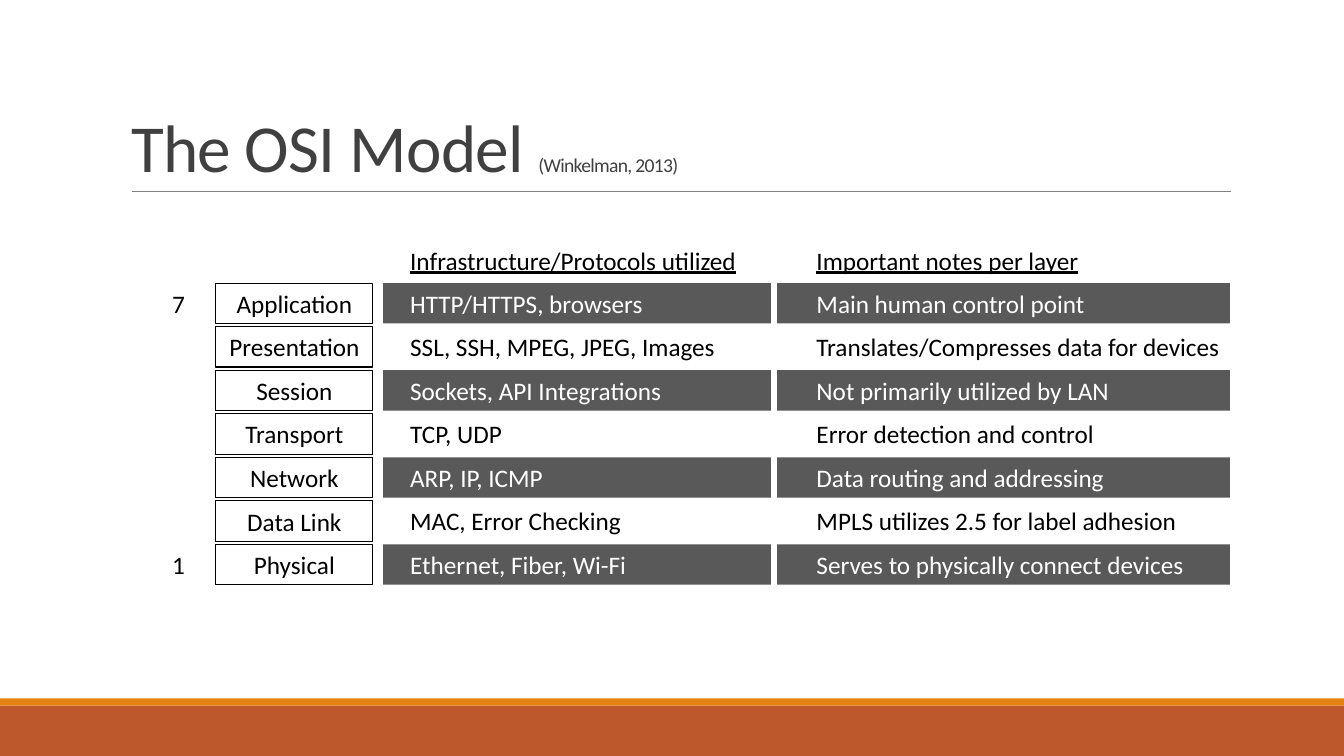
from pptx import Presentation
from pptx import util as u
from pptx.dml.color import RGBColor
from pptx.enum import shapes, text
from pptx.oxml.ns import qn
from lxml import etree

BLACK = RGBColor(0x00, 0x00, 0x00)
WHITE = RGBColor(0xFF, 0xFF, 0xFF)
TITLE_GRAY = RGBColor(0x40, 0x40, 0x40)
RULE_GRAY = RGBColor(0x80, 0x80, 0x80)
BAND_GRAY = RGBColor(0x59, 0x59, 0x59)
RUST = RGBColor(0xBD, 0x58, 0x2C)
ORANGE = RGBColor(0xE4, 0x83, 0x12)

ROW_TOP, ROW_STEP, ROW_HEIGHT = 2.81, 2.59 / 6, 0.4
PROTOCOL_LEFT, NOTE_LEFT = 3.97, 8.0
LAYERS = [
    ("Application", "HTTP/HTTPS, browsers", "Main human control point"),
    ("Presentation", "SSL, SSH, MPEG, JPEG, Images", "Translates/Compresses data for devices"),
    ("Session", "Sockets, API Integrations", "Not primarily utilized by LAN"),
    ("Transport", "TCP, UDP", "Error detection and control"),
    ("Network", "ARP, IP, ICMP", "Data routing and addressing"),
    ("Data Link", "MAC, Error Checking", "MPLS utilizes 2.5 for label adhesion"),
    ("Physical", "Ethernet, Fiber, Wi-Fi", "Serves to physically connect devices"),
]


class SlideBuilder:
    font_name = "Calibri"
    body_size = 18

    def __init__(self, slide):
        self.slide = slide

    def format_run(self, run, color, size=body_size, underline=None):
        run.font.name = self.font_name
        run.font.size = u.Pt(size)
        run.font.color.rgb = color
        run.font.underline = underline

    def title(self, parts):
        title = self.slide.shapes.title
        title.left, title.top = u.Inches(1.2), u.Inches(0.31)
        title.width, title.height = u.Inches(11), u.Inches(1.59)
        frame = title.text_frame
        frame.auto_size = text.MSO_AUTO_SIZE.NONE
        frame.vertical_anchor = text.MSO_ANCHOR.BOTTOM
        paragraph = frame.paragraphs[0]
        paragraph.alignment = text.PP_ALIGN.LEFT
        paragraph.line_spacing = 0.85
        for words, size in parts:
            run = paragraph.add_run()
            run.text = words
            self.format_run(run, TITLE_GRAY, size)
            run.font._element.set("spc", "-50")

    def rectangle(self, left, top, width, height, fill=None, line=None):
        shape = self.slide.shapes.add_shape(
            shapes.MSO_SHAPE.RECTANGLE, u.Inches(left), u.Inches(top),
            u.Inches(width), u.Inches(height))
        shape.shadow.inherit = False
        if fill is None:
            shape.fill.background()
        else:
            shape.fill.solid()
            shape.fill.fore_color.rgb = fill
        if line is None:
            shape.line.fill.background()
        else:
            shape.line.color.rgb = line
            shape.line.width = u.Pt(0.75)
        return shape

    def layer_box(self, top, words):
        shape = self.rectangle(2.14, top, 1.56, ROW_HEIGHT, line=BLACK)
        shape.text_frame.text = words
        paragraph = shape.text_frame.paragraphs[0]
        paragraph.alignment = text.PP_ALIGN.CENTER
        self.format_run(paragraph.runs[0], BLACK)

    def label(self, left, top, width, words, color=BLACK, underline=None):
        box = self.slide.shapes.add_textbox(
            u.Inches(left), u.Inches(top), u.Inches(width), u.Inches(ROW_HEIGHT))
        box.text_frame.word_wrap = True
        box.text_frame.text = words
        self.format_run(box.text_frame.paragraphs[0].runs[0], color, underline=underline)

    def line(self, start, end, color, width):
        connector = self.slide.shapes.add_connector(
            shapes.MSO_CONNECTOR.STRAIGHT,
            *[u.Inches(value) for value in (*start, *end)])
        connector.line.color.rgb = color
        connector.line.width = u.Pt(width)
        etree.SubElement(connector._element.spPr, qn("a:effectLst"))


def main():
    presentation = Presentation()
    presentation.slide_width = u.Inches(13.33)
    presentation.slide_height = u.Inches(7.5)
    builder = SlideBuilder(presentation.slides.add_slide(presentation.slide_layouts[5]))

    # Footer bars, title and its rule
    builder.rectangle(0, 7, 13.33, 0.5, fill=RUST)
    builder.rectangle(0, 6.93, 13.33, 0.07, fill=ORANGE)
    builder.line((1.31, 1.9), (12.21, 1.9), RULE_GRAY, 0.5)
    builder.title([("The OSI Model ", 48), ("(Winkelman, 2013)", 14)])

    # Dark bands on every other row, split by a white divider
    row_tops = [ROW_TOP + row * ROW_STEP for row in range(len(LAYERS))]
    for top in row_tops[::2]:
        builder.rectangle(3.8, top, 8.4, ROW_HEIGHT, fill=BAND_GRAY)
    builder.line((7.68, 2.6), (7.68, 6.03), WHITE, 4.5)

    # Column headings and layer numbers
    builder.label(PROTOCOL_LEFT, 2.38, 3.6, "Infrastructure/Protocols utilized", underline=True)
    builder.label(NOTE_LEFT, 2.38, 3.6, "Important notes per layer", underline=True)
    builder.label(1.61, row_tops[0], 0.33, "7")
    builder.label(1.61, row_tops[-1], 0.33, "1")

    # One row per layer
    for row, (top, (layer, protocols, note)) in enumerate(zip(row_tops, LAYERS)):
        color = BLACK if row % 2 else WHITE
        builder.layer_box(top, layer)
        builder.label(PROTOCOL_LEFT, top, 3.6, protocols, color)
        builder.label(NOTE_LEFT, top, 4.4, note, color)

    presentation.save("out.pptx")


if __name__ == "__main__":
    main()
